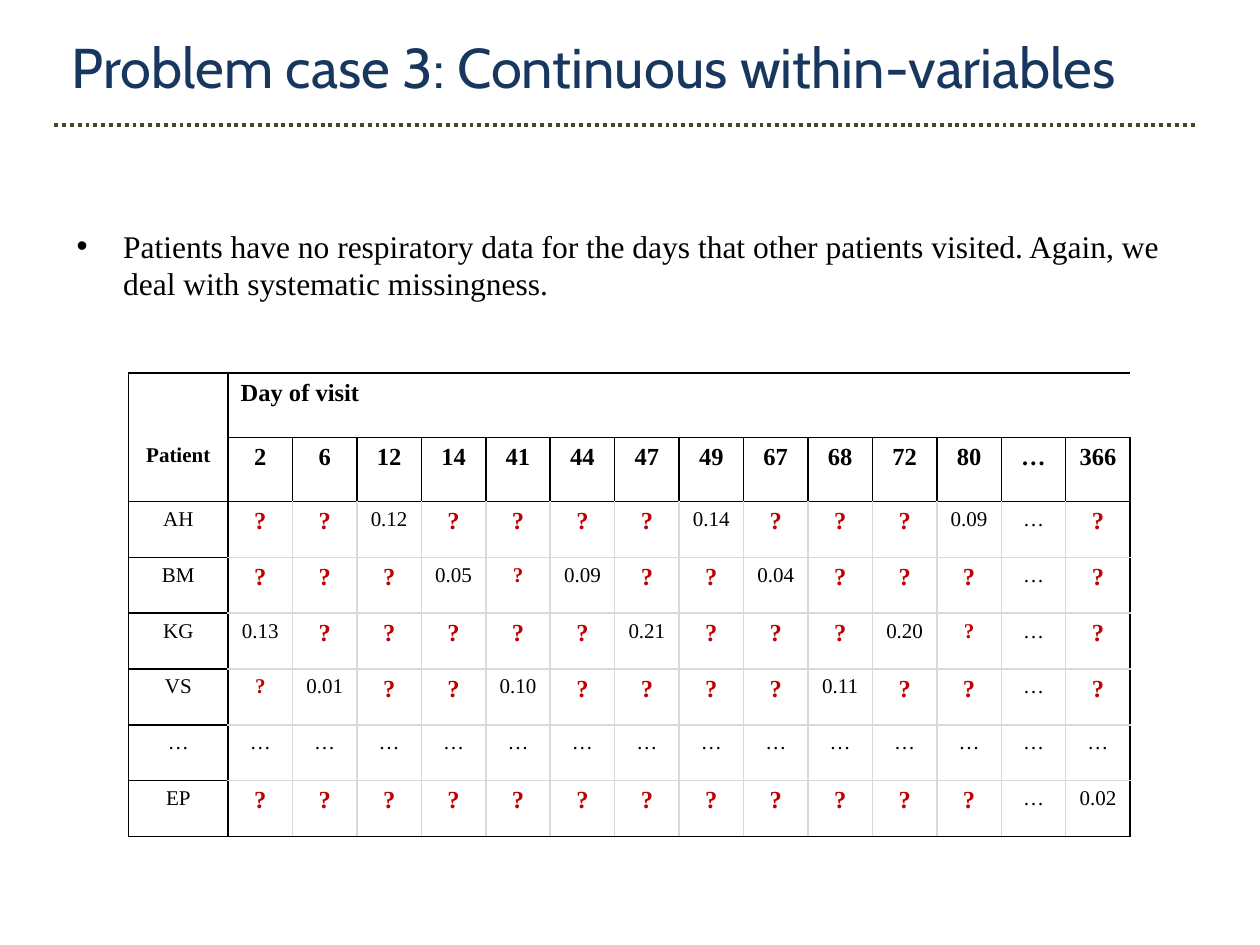
import lxml.etree
import pptx
import pptx.dml.color
import pptx.enum.dml
import pptx.enum.shapes
import pptx.enum.text
import pptx.oxml.ns
import pptx.util

Inches = pptx.util.Inches
Pt = pptx.util.Pt
Align = pptx.enum.text.PP_ALIGN
qn = pptx.oxml.ns.qn

HUES = {"ink": "000000", "title": "17375E", "rule": "4A452A",
        "grid": "D9D9D9", "gap": "C00000"}

HEAD = ["Patient", "2", "6", "12", "14", "41", "44", "47", "49",
        "67", "68", "72", "80", "…", "366"]
BODY = [
    "AH ? ? 0.12 ? ? ? ? 0.14 ? ? ? 0.09 … ?",
    "BM ? ? ? 0.05 ? 0.09 ? ? 0.04 ? ? ? … ?",
    "KG 0.13 ? ? ? ? ? 0.21 ? ? ? 0.20 ? … ?",
    "VS ? 0.01 ? ? 0.10 ? ? ? ? 0.11 ? ? … ?",
    "… … … … … … … … … … … … … … …",
    "EP ? ? ? ? ? ? ? ? ? ? ? ? … 0.02",
]
SMALL = {(3, 5), (4, 12), (5, 1)}


def color(name):
    return pptx.dml.color.RGBColor.from_string(HUES[name])


def write(frame, text, size=12, hue="ink", bold=False,
          face="Times New Roman", align=Align.LEFT, bullet=None):
    para = frame.paragraphs[0]
    if bullet:
        props = para._p.get_or_add_pPr()
        props.set("marL", str(Inches(0.38)))
        props.set("indent", str(Inches(-0.37)))
        font = lxml.etree.SubElement(props, qn("a:buFont"))
        font.set("typeface", "Arial")
        lxml.etree.SubElement(props, qn("a:buChar")).set("char", bullet)
    para.alignment = align
    run = para.add_run()
    run.text = text
    run.font.size = Pt(size)
    run.font.name = face
    run.font.bold = bold
    run.font.color.rgb = color(hue)


def border(cell, side, hue, width):
    line = lxml.etree.SubElement(cell._tc.get_or_add_tcPr(), qn("a:ln" + side))
    line.set("w", str(Pt(width)))
    if hue:
        fill = lxml.etree.SubElement(line, qn("a:solidFill"))
        lxml.etree.SubElement(fill, qn("a:srgbClr")).set("val", HUES[hue])
    else:
        lxml.etree.SubElement(line, qn("a:noFill"))


def edges(cell, row, col, last_row, last_col):
    dark = {
        "L": row < 2 or col < 2,
        "R": row < 2 or col in (0, last_col),
        "T": row < 3 or col == 0,
        "B": row in (0, 1, last_row) or col == 0,
    }
    bare = set()
    if col == 0 and row < 2:
        bare.add("B" if row == 0 else "T")
    if row == 0 and col > 1:
        bare.add("L")
    if row == 0 and 0 < col < last_col:
        bare.add("R")
    for side, black in dark.items():
        hue = None if side in bare else "ink" if black else "grid"
        thin = (row, side) in ((0, "B"), (1, "T"))
        border(cell, side, hue, 0.5 if thin else 0.96)


class Deck:
    def __init__(self):
        self.file = pptx.Presentation()
        self.file.slide_width = Inches(10)
        self.file.slide_height = Inches(7.5)
        self.slide = self.file.slides.add_slide(self.file.slide_layouts[5])

    def title(self, text, left, top, width, height):
        shape = self.slide.shapes.title
        shape.left, shape.top = Inches(left), Inches(top)
        shape.width, shape.height = Inches(width), Inches(height)
        frame = shape.text_frame
        frame.auto_size = pptx.enum.text.MSO_AUTO_SIZE.NONE
        frame.vertical_anchor = pptx.enum.text.MSO_ANCHOR.TOP
        write(frame, text, size=32, hue="title", face="Cabin")

    def rule(self, left, right, top):
        line = self.slide.shapes.add_connector(
            pptx.enum.shapes.MSO_CONNECTOR.STRAIGHT,
            Inches(left), Inches(top), Inches(right), Inches(top))
        line.line.color.rgb = color("rule")
        line.line.width = Pt(2.25)
        line.line.dash_style = pptx.enum.dml.MSO_LINE.ROUND_DOT
        lxml.etree.SubElement(line._element.spPr, qn("a:effectLst"))

    def point(self, text, left, top, width, height):
        box = self.slide.shapes.add_textbox(
            Inches(left), Inches(top), Inches(width), Inches(height))
        box.text_frame.word_wrap = True
        write(box.text_frame, text, size=18, bullet="•")

    def table(self, left, top, width, height, first=0.79, head=0.51):
        rows, cols = len(BODY) + 2, len(HEAD)
        table = self.slide.shapes.add_table(
            rows, cols, Inches(left), Inches(top),
            Inches(width), Inches(height)).table
        table.first_row = table.horz_banding = False
        for col in range(cols):
            size = (width - first) / (cols - 1) if col else first
            table.columns[col].width = Inches(size)
        for row in range(rows):
            size = head if row < 2 else (height - 2 * head) / len(BODY)
            table.rows[row].height = Inches(size)
            for col in range(cols):
                cell = table.cell(row, col)
                edges(cell, row, col, rows - 1, cols - 1)
                cell.fill.background()
        table.cell(0, 1).merge(table.cell(0, cols - 1))
        write(table.cell(0, 1).text_frame, "Day of visit", size=14, bold=True)
        for col, text in enumerate(HEAD):
            write(table.cell(1, col).text_frame, text, size=14 if col else 12,
                  bold=True, align=Align.CENTER)
        for row, line in enumerate(BODY, 2):
            for col, text in enumerate(line.split()):
                gap = text == "?"
                big = gap and (row, col) not in SMALL
                write(table.cell(row, col).text_frame, text,
                      size=14 if big else 12, bold=gap,
                      hue="gap" if gap else "ink", align=Align.CENTER)


def main():
    deck = Deck()
    deck.point("Patients have no respiratory data for the days that other "
               "patients visited. Again, we deal with systematic missingness.",
               0.5, 1.75, 9, 2.63)
    deck.title("Problem case 3: Continuous within-variables",
               0.47, 0.21, 8.94, 1.16)
    deck.rule(0.43, 9.49, 0.99)
    deck.table(1.02, 2.96, 7.95, 3.68)
    deck.file.save("out.pptx")


if __name__ == "__main__":
    main()
